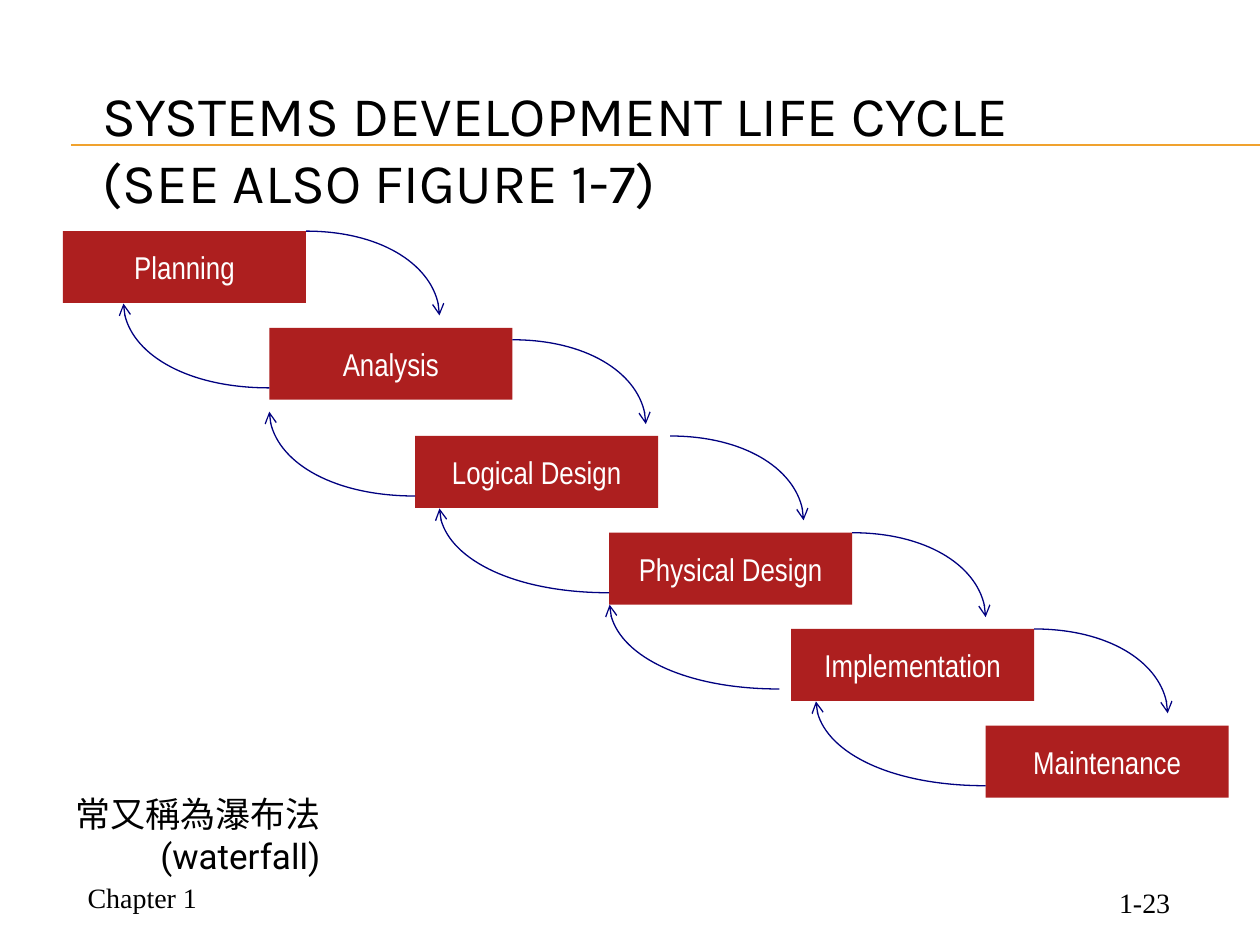
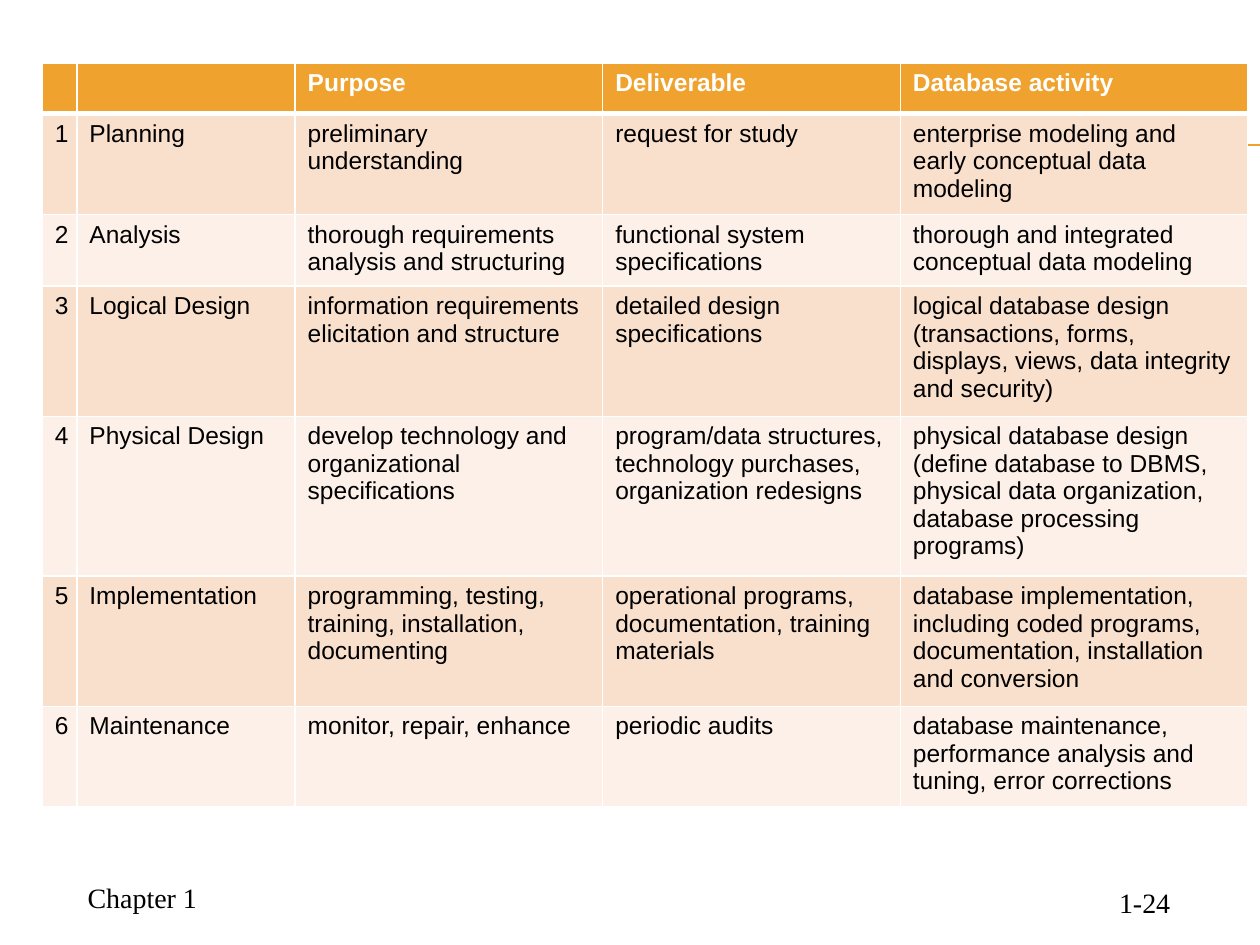
from lxml import etree
from pptx import Presentation
from pptx.dml.color import RGBColor
from pptx.enum.shapes import MSO_CONNECTOR, MSO_SHAPE
from pptx.enum.text import MSO_ANCHOR, MSO_AUTO_SIZE, PP_ALIGN
from pptx.oxml import parse_xml
from pptx.oxml.ns import nsdecls, qn
from pptx.util import Cm, Pt

LINE = MSO_CONNECTOR.STRAIGHT
RECT = MSO_SHAPE.RECTANGLE
MIDDLE, BOTTOM, TOP = MSO_ANCHOR.MIDDLE, MSO_ANCHOR.BOTTOM, MSO_ANCHOR.TOP
LEFT, CENTER, RIGHT = PP_ALIGN.LEFT, PP_ALIGN.CENTER, PP_ALIGN.RIGHT
FIXED = MSO_AUTO_SIZE.NONE

BLACK = RGBColor(0x00, 0x00, 0x00)
WHITE = RGBColor(0xFF, 0xFF, 0xFF)
AMBER = RGBColor(0xF0, 0xA2, 0x2E)
RED = RGBColor(0xAD, 0x1F, 0x1F)
NAVY = RGBColor(0x00, 0x00, 0x80)
BANDS = (RGBColor(0xF9, 0xE0, 0xCD), RGBColor(0xFC, 0xF0, 0xE8))

TITLE = "SYSTEMS DEVELOPMENT LIFE CYCLE\v(SEE ALSO FIGURE 1-7)"
NOTE = "常又稱為瀑布法 (waterfall)"
CHAPTER = "Chapter 1"
PAGES = ("1-23", "1-24")

STEPS = [
    {"name": "Planning", "at": (1.27, 4.66), "next": (0, 0)},
    {"name": "Analysis", "at": (5.43, 6.61), "next": (0, 0.24), "back": (0, 2.94)},
    {"name": "Logical Design", "at": (8.37, 8.79), "next": (0.24, 0), "back": (0, 2.94)},
    {"name": "Physical Design", "at": (12.28, 10.74), "next": (0, 0), "back": (0, 3.42)},
    {"name": "Implementation", "at": (15.95, 12.68), "next": (0, 0), "back": (0.24, 3.42)},
    {"name": "Maintenance", "at": (19.87, 14.63), "back": (0, 3.42)},
]
HEAD = ("", "", "Purpose", "Deliverable", "Database activity")
TASKS = [
    ("preliminary understanding", "request for study",
     "enterprise modeling and early conceptual data modeling"),
    ("thorough requirements analysis and structuring",
     "functional system specifications",
     "thorough and integrated conceptual data modeling"),
    ("information requirements elicitation and structure",
     "detailed design specifications",
     "logical database design (transactions, forms, displays, views, "
     "data integrity and security)"),
    ("develop technology and organizational specifications",
     "program/data structures, technology purchases, organization redesigns",
     "physical database design (define database to DBMS, "
     "physical data organization, database processing programs)"),
    ("programming, testing, training, installation, documenting",
     "operational programs, documentation, training materials",
     "database implementation, including coded programs, "
     "documentation, installation and conversion"),
    ("monitor, repair, enhance", "periodic audits",
     "database maintenance, performance analysis and tuning, error corrections"),
]

BOX_W, BOX_H = 4.9, 1.45
ARC_W, ARC_H = 2.69, 1.7
BACK_Y = 1.21
BEND = 0.55
COLS = (0.7, 4.4, 6.2, 6, 7)
ROWS = (1.02, 1.93, 1.37, 2.49, 3.04, 2.49, 1.93)

FOOT = {"name": "Times New Roman", "size": Pt(16)}
HEADING = {"name": "Karla", "size": Pt(32)}
LABEL = {"name": "Arial Narrow", "size": Pt(18)}
REMARK = {"name": "Roboto", "size": Pt(20)}
CELL = {"name": "Arial", "size": Pt(14), "bold": False}
TOPIC = {**CELL, "bold": True}


def write(frame, text, font, align, color=BLACK, **form):
    for key, value in form.items():
        setattr(frame, key, value)
    frame.text = text
    for para in frame.paragraphs:
        para.alignment = align
        for run in para.runs:
            for key, value in font.items():
                setattr(run.font, key, value)
            run.font.color.rgb = color


def add_text(slide, text, place, font, align, anchor):
    box = slide.shapes.add_textbox(*map(Cm, place))
    write(box.text_frame, text, font, align, word_wrap=True, vertical_anchor=anchor)


def add_base(prs, layout, page):
    slide = prs.slides.add_slide(prs.slide_layouts[layout])
    for y in (2.92, 2.94):
        rule = slide.shapes.add_connector(LINE, Cm(1.43), Cm(y), Cm(25.4), Cm(y))
        rule.line.color.rgb = AMBER
        rule.line.width = Pt(0.75)
        etree.SubElement(rule.element.spPr, qn("a:effectLst"))
    add_text(slide, CHAPTER, (1.36, 17.53, 3.02, 1.02), FOOT, CENTER, BOTTOM)
    add_text(slide, page, (21.73, 17.63, 2.69, 1.02), FOOT, CENTER, BOTTOM)
    return slide


def add_box(slide, name, x, y):
    box = slide.shapes.add_shape(RECT, Cm(x), Cm(y), Cm(BOX_W), Cm(BOX_H))
    box.shadow.inherit = False
    box.fill.solid()
    box.fill.fore_color.rgb = RED
    box.line.fill.background()
    write(box.text_frame, name, LABEL, CENTER, WHITE,
          word_wrap=False, vertical_anchor=MIDDLE)


def add_arc(slide, x, y, dx, dy):
    pen = slide.shapes.build_freeform(Cm(x), Cm(y))
    pen.add_line_segments([(Cm(x + dx), Cm(y + dy))], close=False)
    arc = pen.convert_to_shape()
    arc.shadow.inherit = False
    arc.fill.background()
    arc.line.color.rgb = NAVY
    arc.line.width = Pt(0.75)
    start, end = [(int(pt.get("x")), int(pt.get("y")))
                  for pt in arc.element.iter(qn("a:pt"))]
    bends = ((start[0] + BEND * (end[0] - start[0]), start[1]),
             (end[0], end[1] - BEND * (end[1] - start[1])), end)
    seg = next(arc.element.iter(qn("a:lnTo")))
    curve = etree.Element(qn("a:cubicBezTo"))
    for px, py in bends:
        etree.SubElement(curve, qn("a:pt"), x=str(round(px)), y=str(round(py)))
    seg.getparent().replace(seg, curve)
    ln = arc.element.spPr.find(qn("a:ln"))
    etree.SubElement(ln, qn("a:tailEnd"), type="arrow")


def add_cycle(prs, page):
    slide = add_base(prs, 5, page)
    title = slide.shapes.title
    place = {"left": 1.82, "top": 1.39, "width": 21.59, "height": 3.18}
    for key, value in place.items():
        setattr(title, key, Cm(value))
    write(title.text_frame, TITLE, HEADING, LEFT,
          auto_size=FIXED, word_wrap=True, vertical_anchor=MIDDLE)
    for step in STEPS:
        add_box(slide, step["name"], *step["at"])
    for step in STEPS:
        x, y = step["at"]
        if "next" in step:
            dx, dy = step["next"]
            add_arc(slide, x + BOX_W + dx, y + dy, ARC_W, ARC_H)
        if "back" in step:
            gap, width = step["back"]
            add_arc(slide, x - gap, y + BACK_Y, -width, -ARC_H)
    add_text(slide, NOTE, (1.12, 15.85, 5.59, 1.9), REMARK, RIGHT, TOP)


def style_cell(cell, row, col, text):
    head = row == 0
    widths = {"L": 1, "R": 1, "T": 1, "B": 3 if head else 1}
    props = cell._tc.get_or_add_tcPr()
    for side, width in widths.items():
        props.append(parse_xml(
            f'<a:ln{side} {nsdecls("a")} w="{Pt(width)}"><a:solidFill>'
            f'<a:srgbClr val="{WHITE}"/></a:solidFill></a:ln{side}>'))
    cell.fill.solid()
    cell.fill.fore_color.rgb = AMBER if head else BANDS[(row - 1) % 2]
    write(cell.text_frame, text, TOPIC if head else CELL,
          LEFT if col else CENTER, WHITE if head else BLACK)


def add_tasks(prs, page):
    slide = add_base(prs, 6, page)
    rows = [HEAD] + [(str(i), step["name"], *task)
                     for i, (step, task) in enumerate(zip(STEPS, TASKS), 1)]
    grid = slide.shapes.add_table(
        len(rows), len(COLS), Cm(0.85), Cm(1.27),
        Cm(sum(COLS)), Cm(sum(ROWS))).table
    for col, width in zip(grid.columns, COLS):
        col.width = Cm(width)
    for row, height in zip(grid.rows, ROWS):
        row.height = Cm(height)
    for r, row in enumerate(rows):
        for c, text in enumerate(row):
            style_cell(grid.cell(r, c), r, c, text)


def main():
    prs = Presentation()
    prs.slide_width, prs.slide_height = Cm(25.4), Cm(19.05)
    for build, page in zip((add_cycle, add_tasks), PAGES):
        build(prs, page)
    prs.save("out.pptx")


if __name__ == "__main__":
    main()
